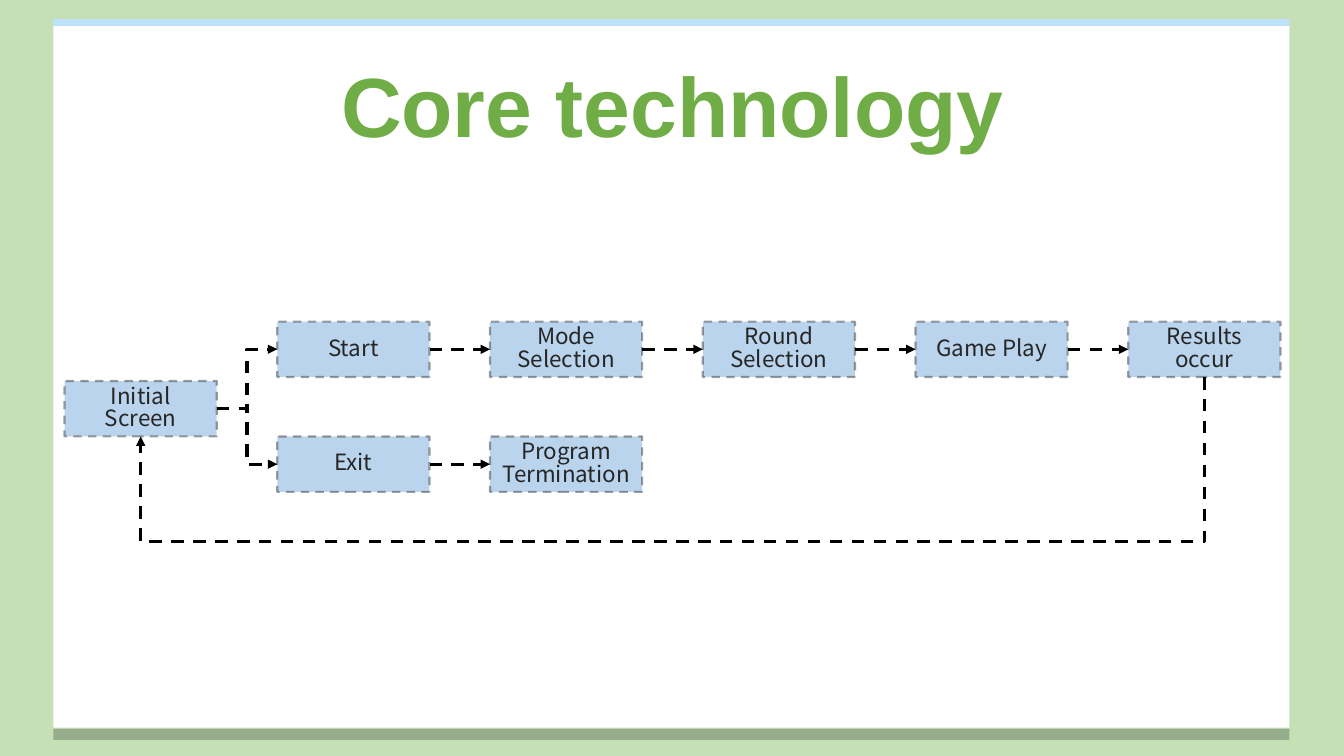
from itertools import pairwise
from lxml.etree import SubElement
from pptx import Presentation
from pptx.dml.color import RGBColor
from pptx.enum.dml import MSO_LINE
from pptx.enum.shapes import MSO_CONNECTOR, MSO_SHAPE
from pptx.enum.text import MSO_ANCHOR, MSO_AUTO_SIZE, PP_ALIGN
from pptx.oxml.ns import qn
from pptx.util import Inches, Pt

HUES = {
    "back": "C5E0B4", "panel": "FFFFFF", "edge": "BEE2FC", "base": "000000",
    "box": "9CC2E5", "rim": "3F3F3F", "label": "262626",
    "arrow": "000000", "title": "70AD47",
}
LABEL = {"name": "Noto Sans CJK KR", "size": Pt(16), "bold": False}
TITLE = {"name": "Arial", "size": Pt(60), "bold": True}
LEFT, STEP, WIDE, HIGH = 0.64, 2.11, 1.51, 0.55
TOP, MID, LOW = 3.19, 3.78, 4.33
BOXES = [
    ("Initial Screen", 0, MID),
    ("Start", 1, TOP),
    ("Mode Selection", 2, TOP),
    ("Round Selection", 3, TOP),
    ("Game Play", 4, TOP),
    ("Results occur", 5, TOP),
    ("Exit", 1, LOW),
    ("Program Termination", 2, LOW),
]
PATHS = [
    ["Initial Screen", "Start", "Mode Selection", "Round Selection",
     "Game Play", "Results occur"],
    ["Initial Screen", "Exit", "Program Termination"],
]
BELOW, LEAD, END = 2, 3, 1


def apply(item, values):
    for key, value in values.items():
        setattr(item, key, value)


def paint(fill, hue, alpha=100):
    fill.solid()
    fill.fore_color.rgb = RGBColor.from_string(HUES[hue])
    if alpha < 100:
        color = fill._xPr.find(qn("a:solidFill"))[0]
        SubElement(color, qn("a:alpha"), val=str(alpha * 1000))


def add_rect(slide, area, hue, alpha=100):
    rect = slide.shapes.add_shape(MSO_SHAPE.RECTANGLE, *map(Inches, area))
    rect.shadow.inherit = False
    paint(rect.fill, hue, alpha)
    rect.line.fill.background()
    return rect


def add_edge(shape):
    effects = shape._element.spPr.find(qn("a:effectLst"))
    shade = SubElement(effects, qn("a:outerShdw"), blurRad="0",
                       dist=str(Pt(5)), dir="16200000", algn="b", rotWithShape="0")
    SubElement(shade, qn("a:srgbClr"), val=HUES["edge"])


def write(frame, text, font, hue):
    para = frame.paragraphs[0]
    para.alignment = PP_ALIGN.CENTER
    run = para.add_run()
    run.text = text
    apply(run.font, font)
    run.font.color.rgb = RGBColor.from_string(HUES[hue])
    return para


def add_box(slide, text, col, top):
    box = add_rect(slide, (LEFT + STEP * col, top, WIDE, HIGH), "box", 70)
    paint(box.line.fill, "rim", 50)
    apply(box.line, {"width": Pt(1.5), "dash_style": MSO_LINE.DASH})
    apply(box.text_frame, {"word_wrap": True, "vertical_anchor": MSO_ANCHOR.MIDDLE})
    write(box.text_frame, text, LABEL, "label").line_spacing = 0.83
    return box


def add_link(slide, start, stop, exit=LEAD, entry=END):
    kind = MSO_CONNECTOR.STRAIGHT if start.top == stop.top else MSO_CONNECTOR.ELBOW
    link = slide.shapes.add_connector(kind, 0, 0, 0, 0)
    link.begin_connect(start, exit)
    link.end_connect(stop, entry)
    paint(link.line.fill, "arrow")
    apply(link.line, {"width": Pt(2.25), "dash_style": MSO_LINE.DASH})
    SubElement(link.line._get_or_add_ln(), qn("a:tailEnd"), type="triangle")
    SubElement(link._element.spPr, qn("a:effectLst"))
    return link


def add_loop(slide, start, stop):
    link = add_link(slide, start, stop, BELOW, BELOW)
    span, rise = STEP * 5, MID - TOP
    mid_x = LEFT + WIDE / 2 + span / 2
    mid_y = (TOP + MID) / 2 + HIGH
    apply(link, {
        "left": Inches(mid_x - rise / 2), "top": Inches(mid_y - span / 2),
        "width": Inches(rise), "height": Inches(span),
    })
    form = link._element.spPr.xfrm
    apply(form, {"flipH": False, "flipV": False, "rot": 90})
    shape = link._element.spPr.find(qn("a:prstGeom"))
    guides = shape.find(qn("a:avLst"))
    SubElement(guides, qn("a:gd"), name="adj1", fmla="val 276800")


def add_title(slide, text):
    box = slide.shapes.add_textbox(*map(Inches, (3.25, 0.48, 6.84, 1.11)))
    apply(box.text_frame, {
        "word_wrap": False, "auto_size": MSO_AUTO_SIZE.SHAPE_TO_FIT_TEXT,
    })
    write(box.text_frame, text, TITLE, "title")


def main():
    deck = Presentation()
    apply(deck, {"slide_width": Inches(13.33), "slide_height": Inches(7.5)})
    slide = deck.slides.add_slide(deck.slide_layouts[6])
    paint(slide.background.fill, "back")
    add_edge(add_rect(slide, (0.53, 0.26, 12.26, 6.96), "panel"))
    add_rect(slide, (0.53, 7.23, 12.26, 0.11), "base", 23)
    boxes = {text: add_box(slide, text, col, top) for text, col, top in BOXES}
    for steps in PATHS:
        for start, stop in pairwise(steps):
            add_link(slide, boxes[start], boxes[stop])
    add_loop(slide, boxes["Results occur"], boxes["Initial Screen"])
    add_title(slide, "Core technology")
    deck.save("out.pptx")


main()
